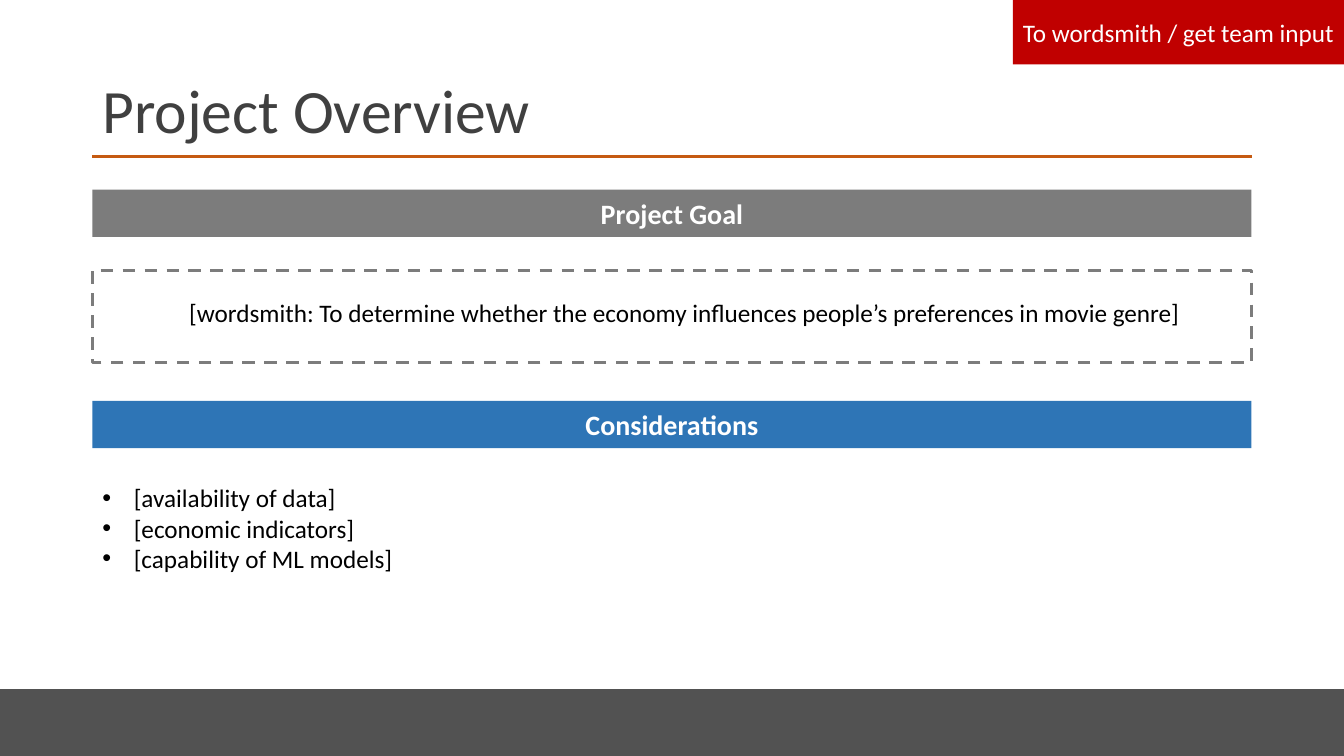
import dataclasses

import lxml.etree
import pptx
import pptx.dml.color
import pptx.enum.dml
import pptx.enum.shapes
import pptx.enum.text
import pptx.oxml.ns
import pptx.util

Pt = pptx.util.Pt
qn = pptx.oxml.ns.qn
ALIGN = pptx.enum.text.PP_ALIGN
ANCHOR = pptx.enum.text.MSO_ANCHOR


@dataclasses.dataclass(frozen=True)
class Theme:
    font: str = "Calibri"
    title_size: float = 44
    heading_size: float = 20
    body_size: float = 18
    rule_width: float = 2.25
    title: str = "404040"
    text: str = "000000"
    light: str = "FFFFFF"
    accent: str = "C55A11"
    goal: str = "7C7C7C"
    considerations: str = "2E75B6"
    tag: str = "C00000"
    footer: str = "525252"


THEME = Theme()
SLIDE_W, SLIDE_H = 960, 540
LEFT, CONTENT_W = 66, 828
BAR_H = 33.7


def rgb(value):
    return pptx.dml.color.RGBColor.from_string(value)


def write(tf, *lines, size=THEME.body_size, color=THEME.text, bold=False,
          align=ALIGN.LEFT, anchor=ANCHOR.TOP, spacing=None, bullet_indent=None):
    """Fill a text frame with one paragraph per line."""
    tf.word_wrap = True
    tf.auto_size = pptx.enum.text.MSO_AUTO_SIZE.NONE
    tf.vertical_anchor = anchor
    for i, text in enumerate(lines):
        p = tf.add_paragraph() if i else tf.paragraphs[0]
        p.alignment = align
        if spacing:
            p.line_spacing = spacing
        if bullet_indent:
            pPr = p._p.get_or_add_pPr()
            pPr.set("marL", str(Pt(bullet_indent)))
            pPr.set("indent", str(-Pt(bullet_indent)))
            lxml.etree.SubElement(pPr, qn("a:buFont"), typeface="Arial")
            lxml.etree.SubElement(pPr, qn("a:buChar"), char="•")
        r = p.add_run()
        r.text = text
        r.font.name, r.font.size, r.font.bold = THEME.font, Pt(size), bold
        r.font.color.rgb = rgb(color)


def add_rect(s, x, y, w, h, fill=None, dash=None):
    sp = s.shapes.add_shape(pptx.enum.shapes.MSO_SHAPE.RECTANGLE,
                            Pt(x), Pt(y), Pt(w), Pt(h))
    sp.shadow.inherit = False
    if fill:
        sp.fill.solid()
        sp.fill.fore_color.rgb = rgb(fill)
    else:
        sp.fill.background()
    if dash:
        sp.line.color.rgb = rgb(dash)
        sp.line.width = Pt(THEME.rule_width)
        sp.line.dash_style = pptx.enum.dml.MSO_LINE.DASH
    else:
        sp.line.fill.background()
    return sp


def add_title(s, x, y, w, h, text):
    # Title with the rule that runs through its lower part
    sp = s.shapes.title
    sp.left, sp.top, sp.width, sp.height = Pt(x), Pt(y), Pt(w), Pt(h)
    write(sp.text_frame, text, size=THEME.title_size, color=THEME.title,
          anchor=ANCHOR.MIDDLE, spacing=0.9)
    rule_y = y + h - 21.6
    rule = s.shapes.add_connector(pptx.enum.shapes.MSO_CONNECTOR.STRAIGHT,
                                  Pt(x), Pt(rule_y), Pt(x + w), Pt(rule_y))
    rule.line.color.rgb = rgb(THEME.accent)
    rule.line.width = Pt(THEME.rule_width)
    lxml.etree.SubElement(rule._element.spPr, qn("a:effectLst"))


def add_heading(s, x, y, w, text, fill):
    sp = add_rect(s, x, y, w, BAR_H, fill=fill)
    write(sp.text_frame, text, size=THEME.heading_size, color=THEME.light,
          bold=True, align=ALIGN.CENTER, anchor=ANCHOR.MIDDLE)


def add_goal(s, x, y, w, statement):
    # Heading bar above a dashed box with the goal statement
    add_heading(s, x, y, w, "Project Goal", THEME.goal)
    box_y = y + 57.6
    add_rect(s, x, box_y, w, 66, dash=THEME.goal)
    tb = s.shapes.add_textbox(Pt(x + 35), Pt(box_y + 15.8), Pt(w - 79), Pt(29))
    write(tb.text_frame, statement, align=ALIGN.RIGHT)


def add_considerations(s, x, y, w, items):
    # Heading bar above a bulleted list
    add_heading(s, x, y, w, "Considerations", THEME.considerations)
    tb = s.shapes.add_textbox(Pt(x), Pt(y + 54.8), Pt(224), Pt(72.7))
    write(tb.text_frame, *items, bullet_indent=22.5)


def add_tag(s, x, y, w, h, text):
    sp = add_rect(s, x, y, w, h, fill=THEME.tag)
    write(sp.text_frame, text, color=THEME.light,
          align=ALIGN.CENTER, anchor=ANCHOR.MIDDLE)


def main():
    prs = pptx.Presentation()
    prs.slide_width, prs.slide_height = Pt(SLIDE_W), Pt(SLIDE_H)
    s = prs.slides.add_slide(prs.slide_layouts.get_by_name("Title Only"))

    # Footer band
    footer_y = 492.3
    add_rect(s, 0, footer_y, SLIDE_W, SLIDE_H - footer_y, fill=THEME.footer)

    add_title(s, LEFT, 28.8, CONTENT_W, 104.4, "Project Overview")
    add_goal(s, LEFT, 135.5, CONTENT_W,
             "[wordsmith: To determine whether the economy influences "
             "people’s preferences in movie genre]")
    add_considerations(s, LEFT, 286.4, CONTENT_W,
                       ["[availability of data]", "[economic indicators]",
                        "[capability of ML models]"])

    # Status tag in the top right corner
    tag_w = 236.5
    add_tag(s, SLIDE_W - tag_w, 0, tag_w, 46, "To wordsmith / get team input")

    prs.save("out.pptx")


if __name__ == "__main__":
    main()
